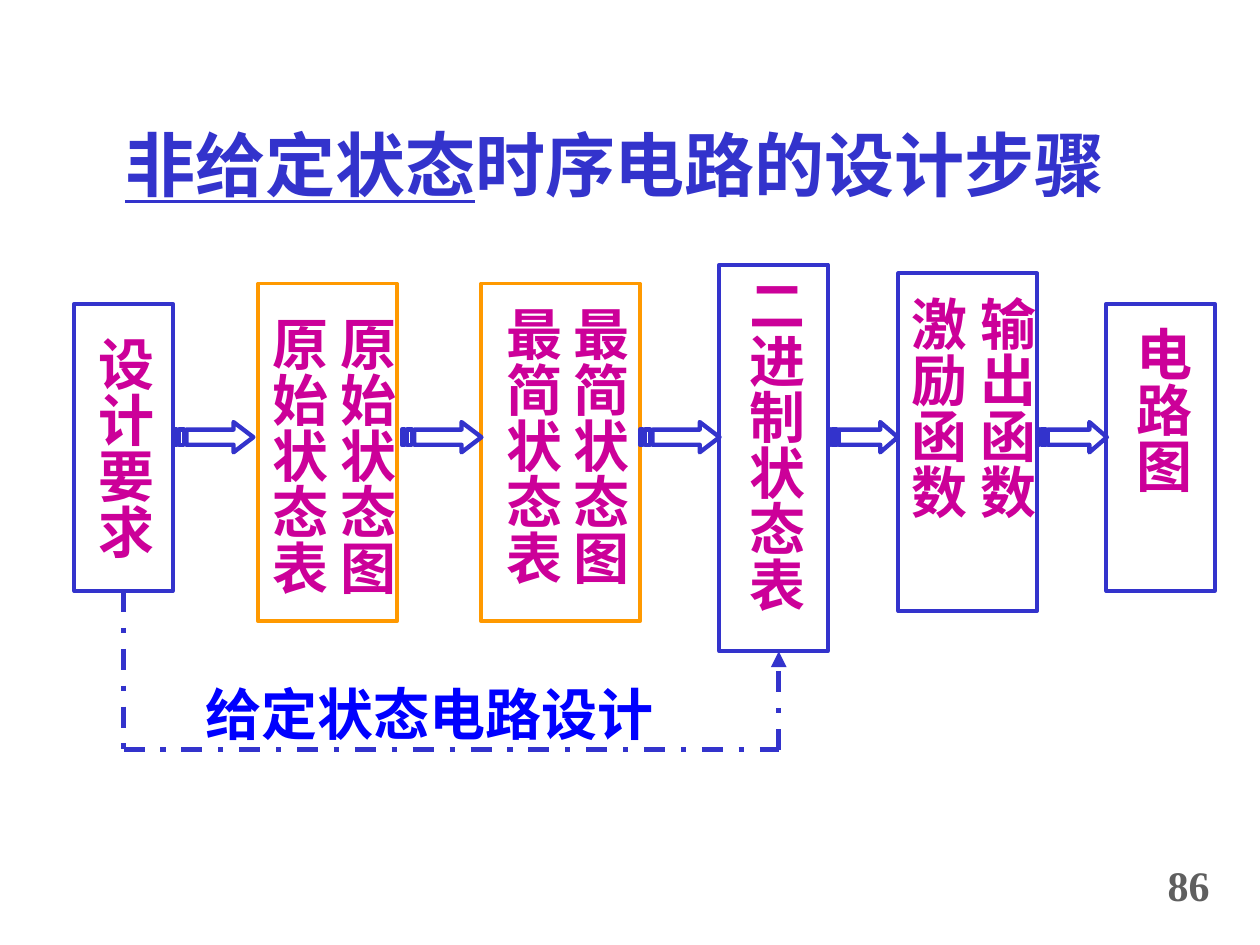
from lxml.etree import SubElement
from pptx import Presentation
from pptx.dml.color import RGBColor
from pptx.enum.dml import MSO_LINE
from pptx.enum.shapes import MSO_CONNECTOR, MSO_SHAPE
from pptx.enum.text import MSO_ANCHOR, MSO_AUTO_SIZE, PP_ALIGN
from pptx.oxml.ns import qn
from pptx.util import Pt

COLORS = {
    "blue": "3333CC",
    "orange": "FF9900",
    "magenta": "CC0099",
    "label": "0000FF",
    "gray": "5F5F5F",
    "white": "FFFFFF",
}
CJK = "Noto Sans CJK SC"
SERIF = "Times New Roman"

STEPS = [
    ((42.5, 173.5, 56.2, 164.2), "blue", (44.6, 185, 52.6, 147.6), ["设计要求"], 1),
    ((147.6, 162, 79.2, 193), "orange", (144.7, 173.5, 90.7, 175.7), ["原始状态图原始状态表"], 1),
    ((275, 162, 90.7, 193), "orange", (277.9, 167.8, 90.7, 175.7), ["最简状态图最简状态表"], 1),
    ((411.1, 151.2, 61.9, 221), "blue", (416.9, 151.2, 52.6, 211), ["二进制状态表"], 1),
    ((513.4, 156.2, 79.2, 193), "blue", (521.3, 162, 54, 175.7), ["输出函数", "激励函数"], 0.5),
    ((632.2, 173.5, 61.9, 164.2), "blue", (637.9, 179.3, 52.6, 153.4), ["电路图"], 1),
]
ARROWS = [(99.4, 45.4), (229.7, 45.4), (365.8, 45.4), (473, 40), (592.5, 40)]
ARROW_TOP, ARROW_HEIGHT = 241.2, 17.3
ARROW_CONTOURS = [
    [(5 / 32, 1 / 4), (3 / 4, 1 / 4), (3 / 4, 0), (1, 1 / 2), (3 / 4, 1), (3 / 4, 3 / 4), (5 / 32, 3 / 4)],
    [(0, 1 / 4), (1 / 32, 1 / 4), (1 / 32, 3 / 4), (0, 3 / 4)],
    [(1 / 16, 1 / 4), (1 / 8, 1 / 4), (1 / 8, 3 / 4), (1 / 16, 3 / 4)],
]
SHORTCUT = [(70.6, 337.7), (70.6, 428.4), (445, 428.4), (445, 372.2)]


def rgb(name):
    return RGBColor.from_string(COLORS[name])


def write(p, text, size=32, color="magenta", font=SERIF, underline=False,
          align=PP_ALIGN.LEFT, before=20, spacing=1):
    p.alignment = align
    p.space_before = Pt(before)
    p.line_spacing = spacing
    r = p.add_run()
    r.text = text
    r.font.size = Pt(size)
    r.font.bold = True
    r.font.underline = underline
    r.font.color.rgb = rgb(color)
    r.font.name = font
    SubElement(r.font._element, qn("a:ea")).set("typeface", CJK)


def add_textbox(s, box):
    tf = s.shapes.add_textbox(*map(Pt, box)).text_frame
    tf.word_wrap = True
    return tf


def add_vertical_text(s, box, lines, spacing):
    tf = add_textbox(s, box)
    tf.vertical_anchor = MSO_ANCHOR.MIDDLE
    tf.margin_left = tf.margin_right = Pt(3.6)
    tf.margin_top = tf.margin_bottom = Pt(7.2)
    tf._txBody.bodyPr.set("vert", "eaVert")
    for i, line in enumerate(lines):
        p = tf.add_paragraph() if i else tf.paragraphs[0]
        write(p, line, align=PP_ALIGN.CENTER, before=20 if i else 0, spacing=spacing)


def style(sp, color, width):
    sp.shadow.inherit = False
    sp.fill.solid()
    sp.fill.fore_color.rgb = rgb("white")
    sp.line.color.rgb = rgb(color)
    sp.line.width = Pt(width)


def add_step(s, frame, color, text_box, lines, spacing):
    sp = s.shapes.add_shape(MSO_SHAPE.RECTANGLE, *map(Pt, frame))
    style(sp, color, 2.25)
    add_vertical_text(s, text_box, lines, spacing)


def add_striped_arrow(s, left, width):
    contours = [
        [(Pt(left + x * width), Pt(ARROW_TOP + y * ARROW_HEIGHT)) for x, y in contour]
        for contour in ARROW_CONTOURS
    ]
    builder = s.shapes.build_freeform(*contours[0][0])
    for i, points in enumerate(contours):
        if i:
            builder.move_to(*points[0])
        builder.add_line_segments(points[1:], close=True)
    style(builder.convert_to_shape(), "blue", 2.5)


def add_dashed_line(s, start, end, arrow=False):
    sp = s.shapes.add_connector(MSO_CONNECTOR.STRAIGHT, *map(Pt, start + end))
    sp.line.color.rgb = rgb("blue")
    sp.line.width = Pt(3)
    sp.line.dash_style = MSO_LINE.DASH_DOT
    if arrow:
        SubElement(sp.line._get_or_add_ln(), qn("a:tailEnd")).set("type", "triangle")
    SubElement(sp._element.spPr, qn("a:effectLst"))


def add_title(s):
    sp = s.shapes.title
    sp.left, sp.top, sp.width, sp.height = map(Pt, (42.5, 65.5, 617.8, 55.4))
    tf = sp.text_frame
    tf.auto_size = MSO_AUTO_SIZE.NONE
    tf.vertical_anchor = MSO_ANCHOR.MIDDLE
    for text, underline in (("非给定状态", True), ("时序电路的设计步骤", False)):
        write(tf.paragraphs[0], text, size=40, color="blue", font=CJK,
              underline=underline, align=PP_ALIGN.CENTER, before=0)


def main():
    prs = Presentation()
    prs.slide_width, prs.slide_height = Pt(720), Pt(540)
    s = prs.slides.add_slide(prs.slide_layouts[5])
    add_title(s)
    for step in STEPS:
        add_step(s, *step)
    for left, width in ARROWS:
        add_striped_arrow(s, left, width)
    for i, (start, end) in enumerate(zip(SHORTCUT, SHORTCUT[1:])):
        add_dashed_line(s, start, end, arrow=i == len(SHORTCUT) - 2)
    label = add_textbox(s, (110.2, 388.8, 283.7, 41.8))
    write(label.paragraphs[0], "给定状态电路设计", color="label", before=0, spacing=0.9)
    number = add_textbox(s, (660.2, 491, 45.4, 33.1))
    write(number.paragraphs[0], "86", size=24, color="gray", before=0, spacing=0.9)
    prs.save("out.pptx")


if __name__ == "__main__":
    main()
